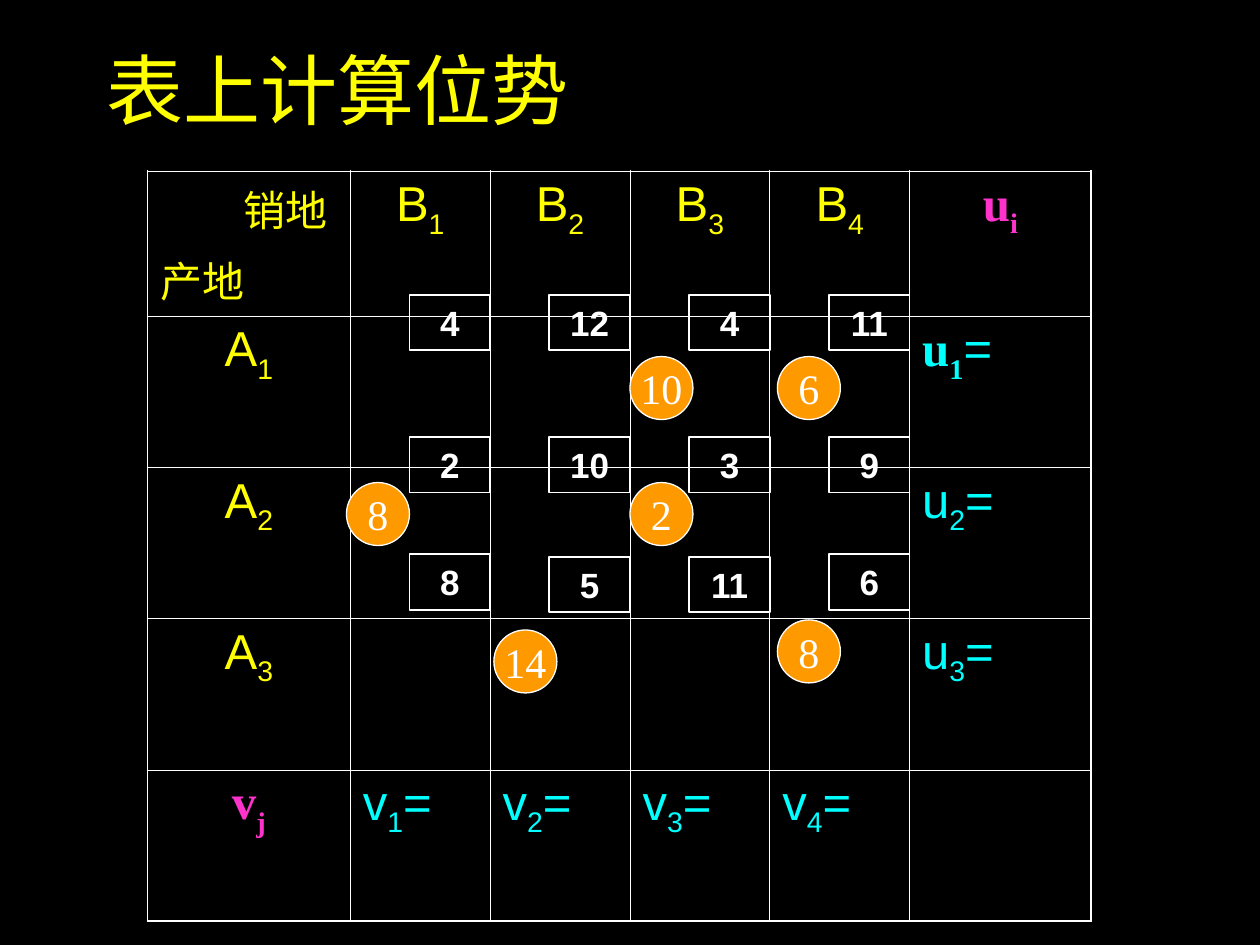
from dataclasses import dataclass

from lxml import etree
from pptx import Presentation
from pptx import util as u
from pptx.dml.color import RGBColor
from pptx.enum import shapes, text
from pptx.oxml import ns


@dataclass(frozen=True)
class Theme:
    """Colours, fonts and type sizes of the slide."""
    background: str = "000000"
    white: str = "FFFFFF"
    yellow: str = "FFFF00"
    cyan: str = "00FFFF"
    magenta: str = "FF33CC"
    orange: str = "FF9900"
    sans: str = "Arial"
    serif: str = "Times New Roman"
    title: int = 44
    symbol: int = 28
    heading: int = 24
    cost: int = 20


THEME = Theme()
CENTER = text.PP_ALIGN.CENTER
LEFT = text.PP_ALIGN.LEFT
RIGHT = text.PP_ALIGN.RIGHT
HEADING = {"name": THEME.serif, "size": THEME.heading, "color": THEME.yellow}
LABEL = {"name": THEME.sans, "size": THEME.symbol, "color": THEME.yellow, "bold": False}
POTENTIAL = {**LABEL, "color": THEME.cyan}
STRONG = {"name": THEME.serif, "bold": True}
COST = {"name": THEME.sans, "size": THEME.cost, "color": THEME.white, "bold": True}
AMOUNT = {**HEADING, "color": THEME.white}
TITLE = {**HEADING, "size": THEME.title}

COLUMN_WIDTHS = (1.61, 1.11, 1.11, 1.11, 1.11, 1.44)
ROW_HEIGHTS = (0.99, 1.2, 1.2, 1.2, 1.2)
COSTS = (("4", "12", "4", "11"), ("2", "10", "3", "9"), ("8", "5", "11", "6"))
COST_TOPS = ((2.34,) * 4, (3.47,) * 4, (4.4, 4.42, 4.42, 4.4))
AMOUNTS = (("8", 2.75, 3.83), ("2", 5, 3.83), ("10", 5, 2.83),
           ("14", 3.92, 5), ("8", 6.17, 4.92), ("6", 6.17, 2.83))


def rgb(color):
    """Turn a hex string into a colour."""
    return RGBColor.from_string(color)


def add_run(paragraph, content, style, subscript=False):
    """Add a run whose font takes the values of a style."""
    run = paragraph.add_run()
    run.text = content
    for name, value in style.items():
        if name == "color":
            run.font.color.rgb = rgb(value)
        else:
            setattr(run.font, name, u.Pt(value) if name == "size" else value)
    if subscript:
        run._r.get_or_add_rPr().set("baseline", "-25000")


def write_symbol(cell, letter, index, style, alignment=CENTER, tail_style=None):
    """Write a letter with its subscript and, if styled, an equals sign."""
    paragraph = cell.text_frame.paragraphs[0]
    paragraph.alignment = alignment
    add_run(paragraph, letter, style)
    add_run(paragraph, index, style, subscript=True)
    if tail_style:
        add_run(paragraph, "=", tail_style)


def write_corner(cell):
    """Write the two headings of the corner cell."""
    cell.margin_right = u.Inches(0.18)
    first = cell.text_frame.paragraphs[0]
    second = cell.text_frame.add_paragraph()
    second.space_before = u.Pt(6)
    for paragraph, heading, alignment in ((first, "销地", RIGHT), (second, "产地", LEFT)):
        paragraph.alignment = alignment
        add_run(paragraph, heading, HEADING)


def set_borders(cell, outer_sides):
    """Draw the four borders, heavier on the outer sides."""
    properties = cell._tc.get_or_add_tcPr()
    for position, side in enumerate("LRTB"):
        width = u.Pt(1.08 if side in outer_sides else 0.45)
        line = etree.Element(ns.qn(f"a:ln{side}"), w=str(int(width)))
        fill = etree.SubElement(line, ns.qn("a:solidFill"))
        etree.SubElement(fill, ns.qn("a:srgbClr"), val=THEME.white)
        properties.insert(position, line)


def add_grid(slide):
    """Add the empty bordered table."""
    rows, columns = len(ROW_HEIGHTS), len(COLUMN_WIDTHS)
    table = slide.shapes.add_table(
        rows, columns, u.Inches(1.17), u.Inches(1.36),
        u.Inches(sum(COLUMN_WIDTHS)), u.Inches(sum(ROW_HEIGHTS))).table
    table.first_row = table.horz_banding = False
    for column, width in zip(table.columns, COLUMN_WIDTHS):
        column.width = u.Inches(width)
    for row, height in zip(table.rows, ROW_HEIGHTS):
        row.height = u.Inches(height)
    for r in range(rows):
        for c in range(columns):
            cell = table.cell(r, c)
            cell.fill.background()
            edges = {"L": c == 0, "R": c == columns - 1, "T": r == 0, "B": r == rows - 1}
            set_borders(cell, [side for side, outer in edges.items() if outer])
    return table


def fill_grid(table):
    """Write the headings and the potentials into the table."""
    write_corner(table.cell(0, 0))
    magenta = {**LABEL, **STRONG, "color": THEME.magenta}
    write_symbol(table.cell(0, 5), "u", "i", magenta)
    write_symbol(table.cell(4, 0), "v", "j", magenta)
    for c in range(1, 5):
        write_symbol(table.cell(0, c), "B", str(c), LABEL)
        write_symbol(table.cell(4, c), "v", str(c), POTENTIAL, LEFT, POTENTIAL)
    for r in range(1, 4):
        style = {**POTENTIAL, **STRONG} if r == 1 else POTENTIAL
        write_symbol(table.cell(r, 0), "A", str(r), LABEL)
        write_symbol(table.cell(r, 5), "u", str(r), style, LEFT, POTENTIAL)


def add_number(parent, kind, box, content, style, line_width, frame_format, fill=None):
    """Add a white-outlined shape that holds one number."""
    shape = parent.shapes.add_shape(kind, *map(u.Inches, box))
    shape.shadow.inherit = False
    if fill:
        shape.fill.solid()
        shape.fill.fore_color.rgb = rgb(fill)
    else:
        shape.fill.background()
    shape.line.color.rgb = rgb(THEME.white)
    shape.line.width = u.Pt(line_width)
    for name, value in frame_format.items():
        setattr(shape.text_frame, name, value)
    paragraph = shape.text_frame.paragraphs[0]
    paragraph.alignment = CENTER
    add_run(paragraph, content, style)


def add_costs(slide):
    """Add the grouped unit cost boxes."""
    group = slide.shapes.add_group_shape()
    frame_format = {"vertical_anchor": text.MSO_ANCHOR.TOP, "word_wrap": True}
    for costs, tops in zip(COSTS, COST_TOPS):
        for c, (cost, top) in enumerate(zip(costs, tops)):
            add_number(group, shapes.MSO_SHAPE.RECTANGLE, (3.25 + 1.11 * c, top, 0.64, 0.44),
                       cost, COST, 1, frame_format)


def add_amounts(slide):
    """Add the circled shipping amounts."""
    frame_format = {"vertical_anchor": text.MSO_ANCHOR.MIDDLE, "word_wrap": False}
    for amount, left, top in AMOUNTS:
        add_number(slide, shapes.MSO_SHAPE.OVAL, (left, top, 0.5, 0.5),
                   amount, AMOUNT, 0.75, frame_format, THEME.orange)


def add_title(slide, content):
    """Add the slide title."""
    frame = slide.shapes.add_textbox(*map(u.Inches, (0.75, 0.08, 8.5, 1.25))).text_frame
    for name, value in {"word_wrap": True, "vertical_anchor": text.MSO_ANCHOR.MIDDLE}.items():
        setattr(frame, name, value)
    add_run(frame.paragraphs[0], content, TITLE)


def main():
    """Build and save the slide."""
    presentation = Presentation()
    presentation.slide_width, presentation.slide_height = u.Inches(10), u.Inches(7.5)
    slide = presentation.slides.add_slide(presentation.slide_layouts[6])
    slide.background.fill.solid()
    slide.background.fill.fore_color.rgb = rgb(THEME.background)
    fill_grid(add_grid(slide))
    add_costs(slide)
    add_amounts(slide)
    add_title(slide, "表上计算位势")
    presentation.save("out.pptx")


if __name__ == "__main__":
    main()
